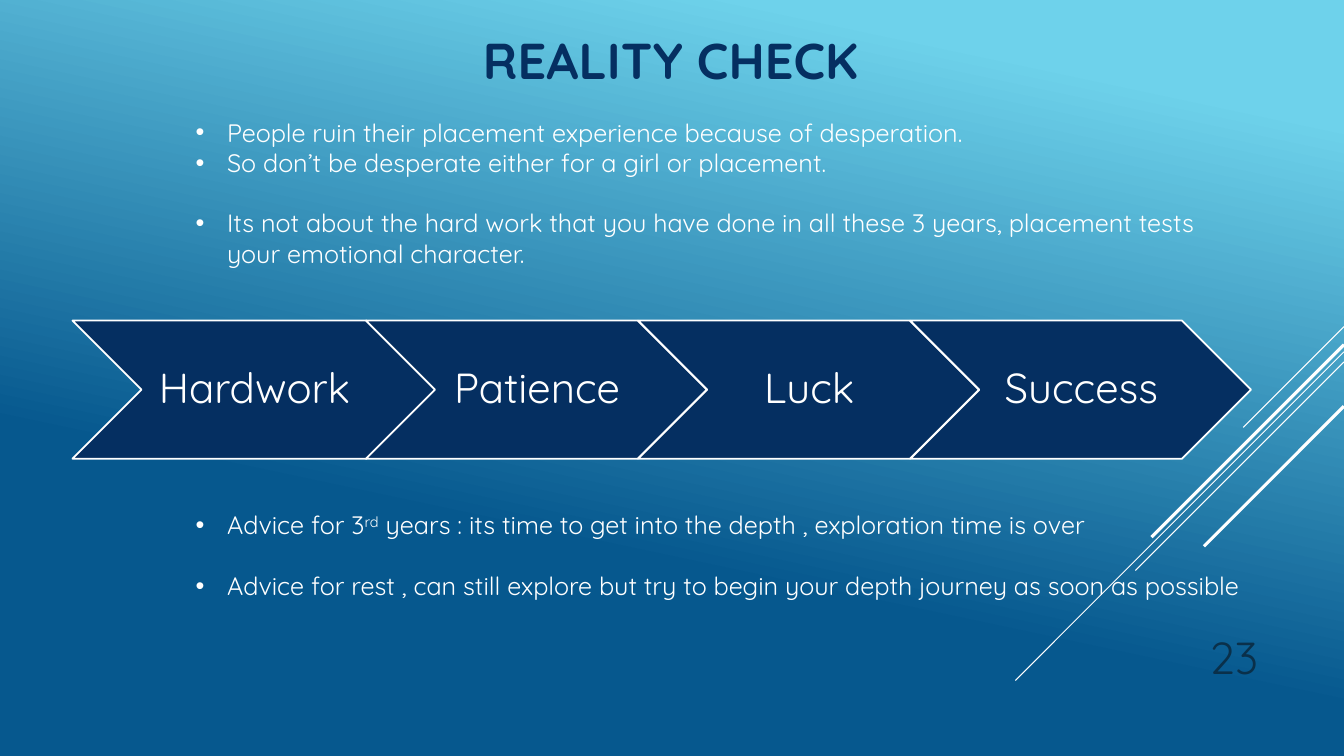
"""Build the Reality Check slide: two advice lists around a row of four chevrons."""
from dataclasses import dataclass

from lxml import etree
from pptx import Presentation
from pptx.dml.color import RGBColor
from pptx.enum import shapes, text
from pptx.oxml.ns import qn
from pptx.util import Pt


@dataclass(frozen=True)
class Theme:
    font: str = "Quicksand"
    navy: str = "052F61"
    white: str = "FFFFFF"
    number: str = "0A304A"
    sky: str = "6ED2EB"
    ocean: str = "06588E"
    title_size: float = 36
    body_size: float = 18
    step_size: float = 30
    number_size: float = 32


theme = Theme()


def style(para, size, color, bold=False):
    para.font.name = theme.font
    para.font.size = Pt(size)
    para.font.bold = bold
    para.font.color.rgb = RGBColor.from_string(color)


def place(shape, left, top, width, height):
    shape.left, shape.top = Pt(left), Pt(top)
    shape.width, shape.height = Pt(width), Pt(height)


deck = Presentation()
deck.slide_width, deck.slide_height = Pt(960), Pt(540)
page = deck.slides.add_slide(deck.slide_layouts.get_by_name("Two Content"))

backdrop = page.background.fill
backdrop.gradient()
backdrop.gradient_angle = 258
for stop, color, position in zip(
    backdrop.gradient_stops, (theme.sky, theme.ocean), (0.12, 0.68)
):
    stop.color.rgb = RGBColor.from_string(color)
    stop.position = position

for start_y, run_length, weight in (
    (233.3, 72, 0.75),
    (251.3, 234.7, 0.75),
    (258.5, 149, 0.75),
    (246.2, 137.5, 2.25),
    (290.2, 100, 2.25),
):
    streak = page.shapes.add_connector(
        shapes.MSO_CONNECTOR.STRAIGHT,
        Pt(960), Pt(start_y), Pt(960 - run_length), Pt(start_y + run_length),
    )
    streak.line.color.rgb = RGBColor.from_string(theme.white)
    streak.line.width = Pt(weight)
    etree.SubElement(streak._element.spPr, qn("a:effectLst"))

title = page.shapes.title
place(title, 130, 0, 698, 67.7)
title.text_frame.text = "REALITY CHECK"
title.text_frame.vertical_anchor = text.MSO_ANCHOR.BOTTOM
title.text_frame.auto_size = text.MSO_AUTO_SIZE.NONE
style(title.text_frame.paragraphs[0], theme.title_size, theme.navy, bold=True)

line_height = 21.6
lists = (
    (1, 80, 120, (
        (0, "People ruin their placement experience because of desperation."),
        (0, "So don’t be desperate either for a girl or placement."),
        (line_height, "Its not about the hard work that you have done in all these "
                      "3 years, placement tests\vyour emotional character."),
    )),
    (2, 360.5, 80, (
        (0, "Advice for 3|rd| years : its time to get into the depth , "
            "exploration time is over"),
        (line_height, "Advice for rest , can still explore but try to begin your "
                      "depth journey as soon as possible"),
    )),
)
for index, top, height, items in lists:
    box = page.placeholders[index]
    place(box, 132.5, top, 780, height)
    frame = box.text_frame
    frame.auto_size = text.MSO_AUTO_SIZE.NONE
    for number, (gap, wording) in enumerate(items):
        para = frame.add_paragraph() if number else frame.paragraphs[0]
        para.line_spacing = Pt(line_height)
        para.space_before = Pt(gap)
        properties = para._p.get_or_add_pPr()
        properties.set("marL", str(Pt(22.5)))
        properties.set("indent", str(-Pt(22.5)))
        etree.SubElement(properties, qn("a:buFont")).set("typeface", "Arial")
        etree.SubElement(properties, qn("a:buChar")).set("char", "•")
        style(para, theme.body_size, theme.white)
        if "|" not in wording:
            para.text = wording
            continue
        for part, piece in enumerate(wording.split("|")):
            span = para.add_run()
            span.text = piece
            if part == 1:
                span._r.get_or_add_rPr().set("baseline", "30000")

first_left, first_width, step_width, pitch = 51.8, 259.2, 243.4, 194.4
for number, wording in enumerate(("Hardwork", "Patience", "Luck", "Success")):
    left = first_left + first_width - step_width + number * pitch if number else first_left
    if number:
        left = 261.4 + (number - 1) * pitch
    chevron = page.shapes.add_shape(
        shapes.MSO_SHAPE.CHEVRON,
        Pt(left), Pt(229), Pt(step_width if number else first_width), Pt(98.7),
    )
    chevron.shadow.inherit = False
    chevron.fill.solid()
    chevron.fill.fore_color.rgb = RGBColor.from_string(theme.navy)
    chevron.line.color.rgb = RGBColor.from_string(theme.white)
    chevron.line.width = Pt(1.25)
    frame = chevron.text_frame
    frame.word_wrap = False
    frame.margin_left, frame.margin_right = Pt(4), Pt(3)
    frame.vertical_anchor = text.MSO_ANCHOR.MIDDLE
    para = frame.paragraphs[0]
    para.text = wording
    para.alignment = text.PP_ALIGN.CENTER
    para.line_spacing = 0.9
    style(para, theme.step_size, theme.white)

page_number = page.shapes.add_textbox(Pt(815.8), Pt(439.2), Pt(90), Pt(52.6))
frame = page_number.text_frame
frame.word_wrap = True
frame.vertical_anchor = text.MSO_ANCHOR.BOTTOM
para = frame.paragraphs[0]
para.text = "23"
para.alignment = text.PP_ALIGN.RIGHT
style(para, theme.number_size, theme.number)

deck.save("out.pptx")
